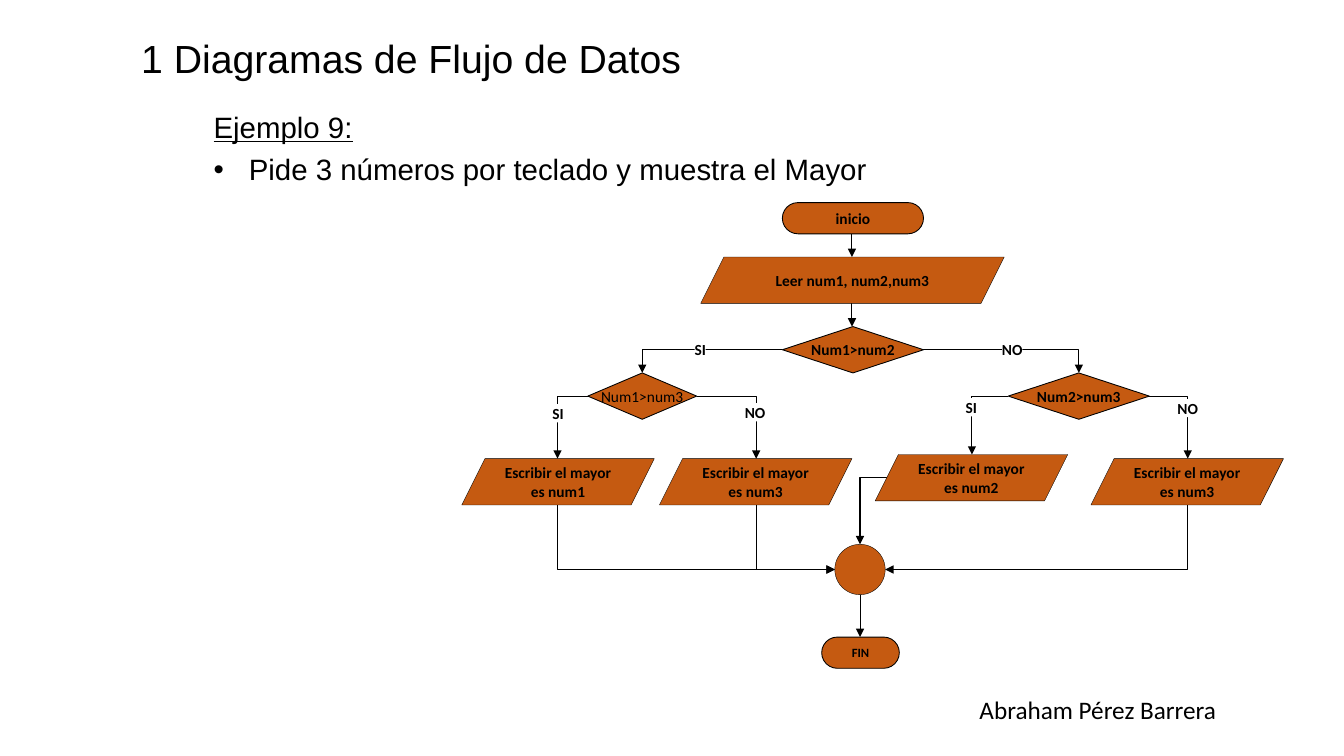
from lxml import etree
from pptx import Presentation
from pptx import util as u
from pptx.dml.color import RGBColor
from pptx.enum import shapes, text
from pptx.oxml.ns import qn

PX = 9144  # EMU per px, 100 px to the inch
COLORS = {"node": "C55A11", "ink": "000000", "paper": "FFFFFF"}
KINDS = shapes.MSO_SHAPE


def rgb(name):
    return RGBColor.from_string(COLORS[name])


class FlowSlide:
    def __init__(self, prs):
        self.s = prs.slides.add_slide(prs.slide_layouts[5])

    def run(self, p, content, size, font="Calibri", bold=False, underline=False):
        r = p.add_run()
        r.text = content
        r.font.size, r.font.name = u.Pt(size), font
        r.font.bold, r.font.underline = bold, underline
        r.font.color.rgb = rgb("ink")

    def title(self, content, left, top, width, height):
        sp = self.s.shapes.title
        sp.left, sp.top, sp.width, sp.height = (v * PX for v in (left, top, width, height))
        tf = sp.text_frame
        tf.auto_size = text.MSO_AUTO_SIZE.NONE
        tf.vertical_anchor = text.MSO_ANCHOR.MIDDLE
        p = tf.paragraphs[0]
        p.alignment, p.line_spacing = text.PP_ALIGN.LEFT, 0.9
        self.run(p, content, 28, "Arial")

    def text_box(self, left, top, width, height):
        sp = self.s.shapes.add_textbox(left * PX, top * PX, width * PX, height * PX)
        sp.text_frame.word_wrap = True
        return sp.text_frame

    def statement(self, heading, task, left, top, width, height):
        tf = self.text_box(left, top, width, height)
        first, second = tf.paragraphs[0], tf.add_paragraph()
        for p in (first, second):
            p.line_spacing, p.space_before = 0.9, u.Pt(7.5)
        self.run(first, heading, 21, "Arial", underline=True)
        self.run(second, task, 21, "Arial")
        pPr = second._p.get_or_add_pPr()
        pPr.set("marL", str(35 * PX))
        pPr.set("indent", str(-35 * PX))
        etree.SubElement(pPr, qn("a:buFont")).set("typeface", "Arial")
        etree.SubElement(pPr, qn("a:buChar")).set("char", "•")

    def author(self, name, left, top, width, height):
        p = self.text_box(left, top, width, height).paragraphs[0]
        p.alignment = text.PP_ALIGN.RIGHT
        self.run(p, name, 18)

    def node(self, kind, left, top, width, height, lines=(), line=0.63, size=11,
             bold=True, fill="node"):
        sp = self.s.shapes.add_shape(kind, left * PX, top * PX, width * PX, height * PX)
        sp.shadow.inherit = False
        sp.fill.solid()
        sp.fill.fore_color.rgb = rgb(fill)
        if line:
            sp.line.color.rgb = rgb("ink")
            sp.line.width = u.Pt(line)
        else:
            sp.line.fill.background()
        if kind in (KINDS.ROUNDED_RECTANGLE, KINDS.PARALLELOGRAM):
            sp.adjustments[0] = 0.5
        tf = sp.text_frame
        tf.word_wrap = False
        tf.vertical_anchor = text.MSO_ANCHOR.MIDDLE
        tf.margin_left = tf.margin_right = tf.margin_top = tf.margin_bottom = 0
        for i, content in enumerate(lines):
            p = tf.add_paragraph() if i else tf.paragraphs[0]
            p.alignment = text.PP_ALIGN.CENTER
            self.run(p, content, size, bold=bold)

    def label(self, content, left, top):
        self.node(KINDS.RECTANGLE, left, top, 11 if content == "SI" else 20, 18,
                  [content], line=0, fill="paper")

    def arrow(self, *points):
        """Draw a straight connector for two points, an elbow for three."""
        start, *rest = points
        if len(rest) == 1:
            sp = self.s.shapes.add_connector(shapes.MSO_CONNECTOR.STRAIGHT,
                                             *(v * PX for v in start + rest[0]))
            etree.SubElement(sp._element.spPr, qn("a:effectLst"))
        else:
            outline = self.s.shapes.build_freeform(*start, scale=PX)
            outline.add_line_segments(rest, close=False)
            sp = outline.convert_to_shape()
            sp.fill.background()
            sp.shadow.inherit = False
        sp.line.color.rgb = rgb("ink")
        sp.line.width = u.Pt(0.75)
        ln = sp._element.spPr.find(qn("a:ln"))
        etree.SubElement(ln, qn("a:tailEnd")).set("type", "triangle")


def main():
    prs = Presentation()
    prs.slide_width, prs.slide_height = 1333 * PX, 750 * PX
    flow = FlowSlide(prs)
    flow.title("1 Diagramas de Flujo de Datos", 130, 33, 907, 55)
    flow.statement("Ejemplo 9:", "Pide 3 números por teclado y muestra el Mayor",
                   202, 107, 835, 488)
    flow.author("Abraham Pérez Barrera", 737, 684, 479, 40)

    for points in [
        ((845, 232), (845, 255)),
        ((845, 301), (845, 324)),
        ((776, 347), (637, 347), (637, 370)),
        ((915, 347), (1070, 347), (1070, 370)),
        ((583, 393), (553, 393), (553, 455)),
        ((691, 393), (750, 393), (750, 455)),
        ((1000, 393), (964, 393), (964, 451)),
        ((1140, 393), (1178, 393), (1178, 455)),
        ((553, 501), (553, 565), (828, 565)),
        ((750, 501), (750, 565), (828, 565)),
        ((880, 474), (853, 474), (853, 540)),
        ((1178, 501), (1178, 565), (878, 565)),
        ((853, 590), (853, 632)),
    ]:
        flow.arrow(*points)

    flow.node(KINDS.ROUNDED_RECTANGLE, 776, 201, 140, 31, ["inicio"])
    flow.node(KINDS.PARALLELOGRAM, 695, 255, 301, 46, ["Leer num1, num2,num3"], line=0.25)
    for question, left, top, width, bold in [
        ("Num1>num2", 776, 324, 140, True),
        ("Num1>num3", 583, 370, 108, False),
        ("Num2>num3", 1000, 370, 140, True),
    ]:
        flow.node(KINDS.DIAMOND, left, top, width, 46, [question], bold=bold)
    for result, left, top in [("num1", 458, 455), ("num3", 654, 455),
                              ("num2", 868, 451), ("num3", 1082, 455)]:
        flow.node(KINDS.PARALLELOGRAM, left, top, 191, 46,
                  ["Escribir el mayor", f"es {result}"], line=0.25)
    flow.node(KINDS.OVAL, 828, 540, 50, 50, line=0.25)
    flow.node(KINDS.ROUNDED_RECTANGLE, 815, 632, 77, 31, ["FIN"], size=9)

    for answer, left, top in [("SI", 689, 338), ("NO", 994, 338), ("SI", 548, 401),
                              ("NO", 739, 400), ("SI", 958, 395), ("NO", 1168, 396)]:
        flow.label(answer, left, top)

    prs.save("out.pptx")


if __name__ == "__main__":
    main()
